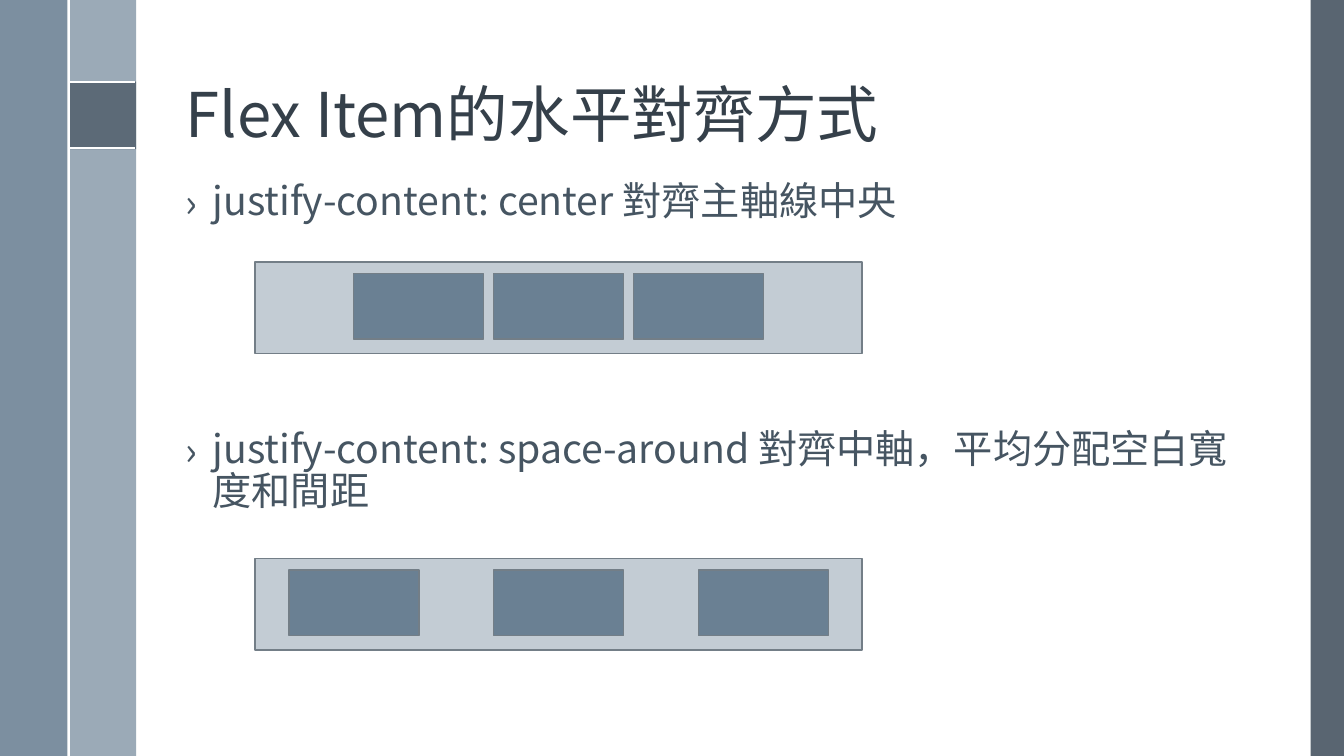
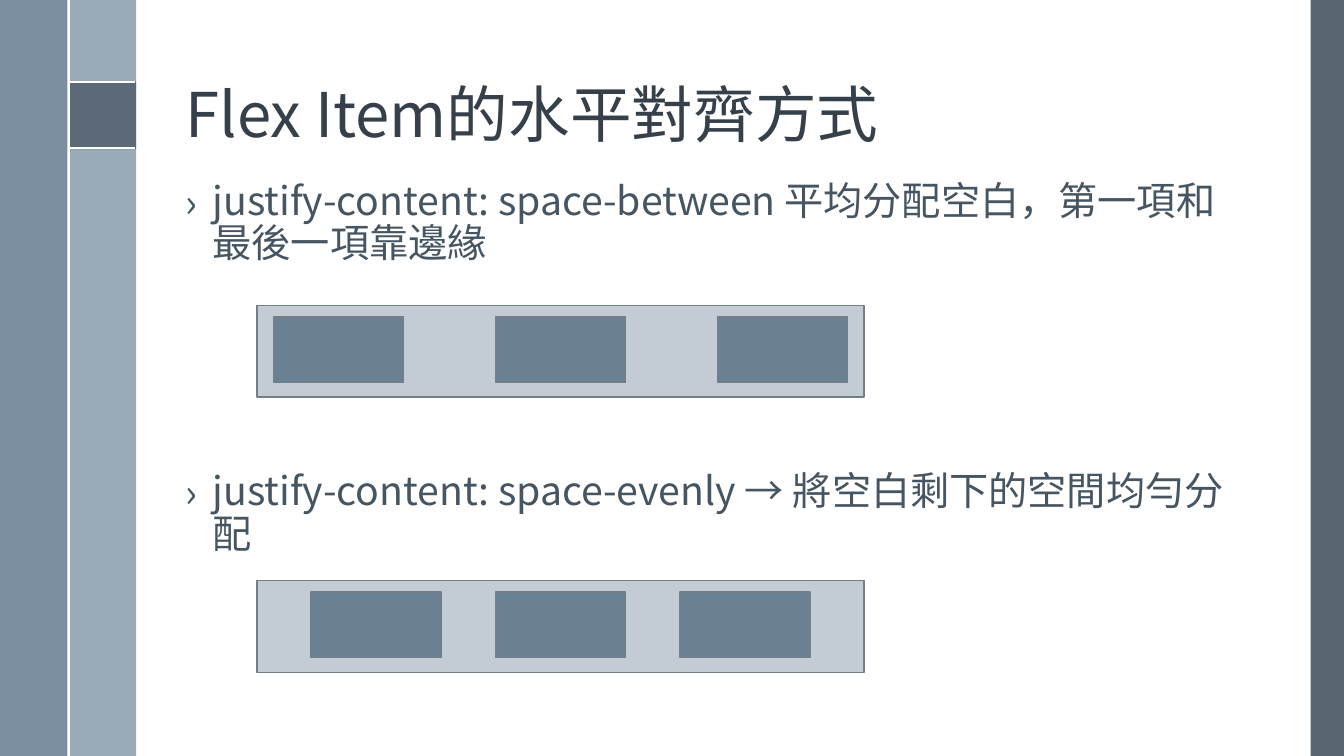
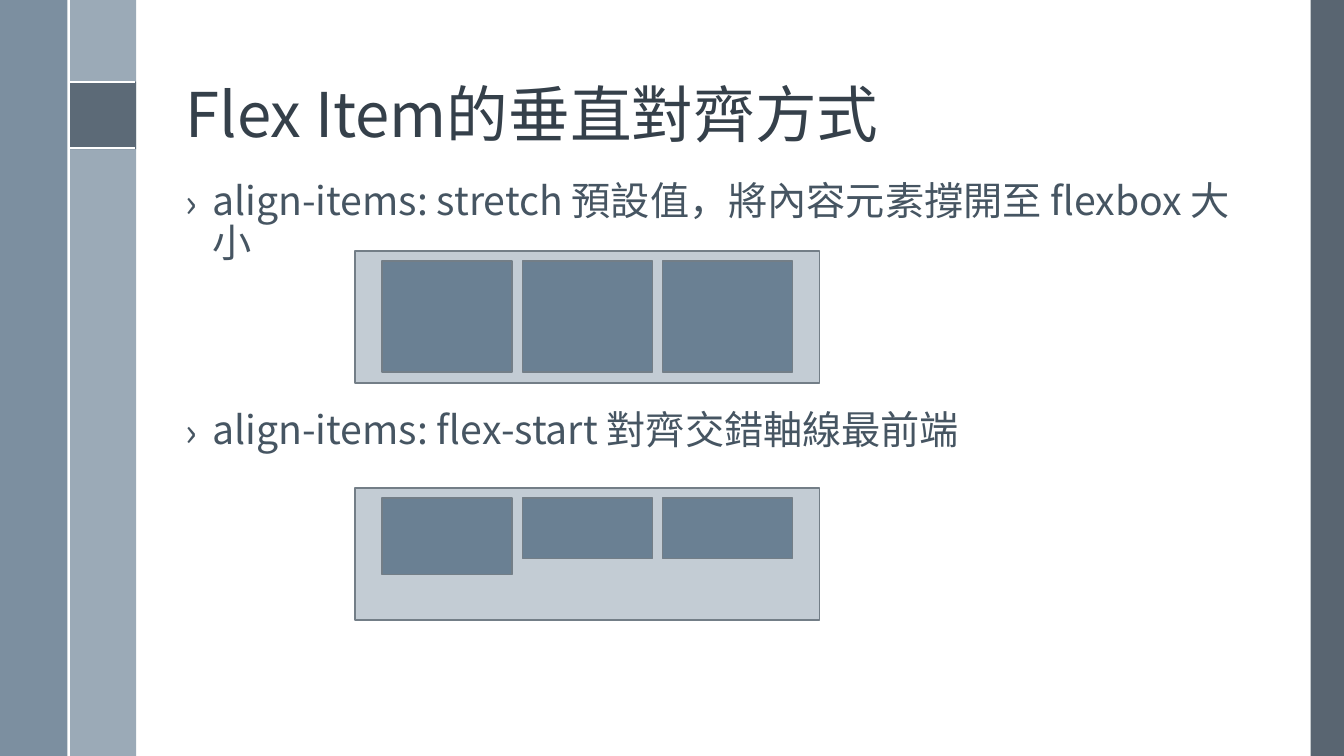
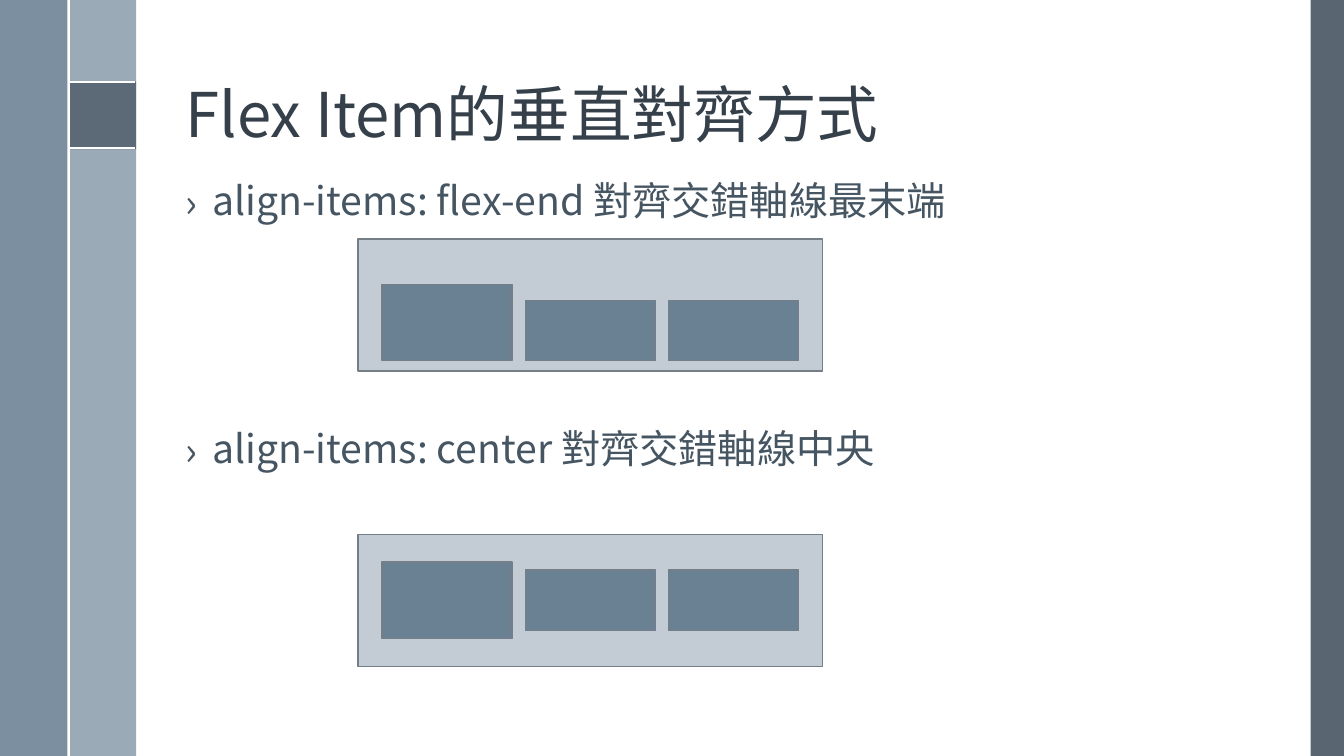
from dataclasses import dataclass

from lxml import etree
from pptx import Presentation
from pptx.dml.color import RGBColor
from pptx.enum.shapes import MSO_CONNECTOR, MSO_SHAPE
from pptx.enum.text import MSO_ANCHOR, MSO_AUTO_SIZE, PP_ALIGN
from pptx.oxml.ns import qn
from pptx.util import Inches, Pt

RECT = MSO_SHAPE.RECTANGLE
LINE = MSO_CONNECTOR.STRAIGHT
LEFT = PP_ALIGN.LEFT
TOP, BOTTOM = MSO_ANCHOR.TOP, MSO_ANCHOR.BOTTOM
FIXED = MSO_AUTO_SIZE.NONE

FONT = "Noto Sans CJK TC"
COLORS = {
    "dark": "475562",
    "pale": "9BAAB7",
    "blue": "6A8093",
    "frame": "C3CCD4",
    "edge": "737E87",
    "white": "FFFFFF",
    "title": "35404A",
    "body": "465562",
}
WIDE, HIGH = 13.33, 7.5
ITEM = 1.29
PAD = 0.1
START, UPPER, MIDDLE, END = 0, 0.25, 0.5, 1
SHORT = (0.65,) * 3
FULL = (1.1,) * 3
MIXED = (0.76, 0.6, 0.6)


@dataclass
class Box:
    left: float
    top: float
    width: float
    height: float


@dataclass
class Band:
    box: Box
    color: str
    alpha: int = 100


@dataclass
class Flex:
    box: Box
    step: float
    sizes: tuple[float, ...]
    share: float


@dataclass
class Page:
    title: str
    lines: tuple[str, str]
    gap: float
    rows: tuple[Flex, Flex]


BANDS = (
    Band(Box(13, 0, 0.33, HIGH), "dark", 90),
    Band(Box(0.68, 0, 0.67, HIGH), "pale"),
    Band(Box(0, 0, 0.67, HIGH), "blue", 88),
    Band(Box(0.68, 0.81, 0.67, 0.67), "dark", 75),
)
RULES = (
    Box(0.68, 0.81, 0.66, 0),
    Box(0.68, 1.47, 0.66, 0),
    Box(0.68, 0, 0, HIGH),
)
HEAD = Box(1.74, 0.19, 10.7, 1.36)
BODY = Box(1.74, 1.75, 10.7, 5)


def wide(left: float, top: float, step: float) -> Flex:
    return Flex(Box(left, top, 6.02, 0.91), step, SHORT, UPPER)


def tall(left: float, top: float, step: float, sizes: tuple[float, ...], share: float) -> Flex:
    return Flex(Box(left, top, 4.61, 1.31), step, sizes, share)


ACROSS = "Flex Item的水平對齊方式"
DOWN = "Flex Item的垂直對齊方式"
PAGES = (
    Page(
        ACROSS,
        (
            "justify-content: center 對齊主軸線中央",
            "justify-content: space-around 對齊中軸，平均分配空白寬度和間距",
        ),
        147,
        (wide(2.53, 2.6, 1.39), wide(2.53, 5.54, 2.03)),
    ),
    Page(
        ACROSS,
        (
            "justify-content: space-between 平均分配空白，第一項和最後一項靠邊緣",
            "justify-content: space-evenly → 將空白剩下的空間均勻分配",
        ),
        147,
        (wide(2.55, 3.03, 2.2), wide(2.55, 5.76, 1.83)),
    ),
    Page(
        DOWN,
        (
            "align-items: stretch 預設值，將內容元素撐開至 flexbox 大小",
            "align-items: flex-start 對齊交錯軸線最前端",
        ),
        103,
        (
            tall(3.52, 2.49, 1.39, FULL, START),
            tall(3.52, 4.84, 1.39, MIXED, START),
        ),
    ),
    Page(
        DOWN,
        (
            "align-items: flex-end 對齊交錯軸線最末端",
            "align-items: center 對齊交錯軸線中央",
        ),
        147,
        (
            tall(3.55, 2.37, 1.42, MIXED, END),
            tall(3.55, 5.3, 1.42, MIXED, MIDDLE),
        ),
    ),
)


def tint(name: str) -> RGBColor:
    return RGBColor.from_string(COLORS[name])


def place(box: Box) -> tuple:
    return tuple(Inches(n) for n in (box.left, box.top, box.width, box.height))


def add_rect(slide, box: Box, fill: str, edge: str = ""):
    shape = slide.shapes.add_shape(RECT, *place(box))
    shape.shadow.inherit = False
    shape.fill.solid()
    shape.fill.fore_color.rgb = tint(fill)
    if edge:
        shape.line.color.rgb = tint(edge)
        shape.line.width = Pt(1)
    else:
        shape.line.fill.background()
    return shape


def add_band(slide, band: Band):
    shape = add_rect(slide, band.box, band.color)
    if band.alpha < 100:
        color = shape.element.spPr.find(qn("a:solidFill"))[0]
        etree.SubElement(color, qn("a:alpha"), val=str(band.alpha * 1000))
    return shape


def add_rule(slide, box: Box):
    left, top, width, height = place(box)
    rule = slide.shapes.add_connector(LINE, left, top, left + width, top + height)
    rule.line.color.rgb = tint("white")
    rule.line.width = Pt(1.5)
    etree.SubElement(rule.element.spPr, qn("a:effectLst"))
    return rule


def add_frame(slide, layout) -> None:
    parts = [add_band(slide, band) for band in BANDS]
    parts += [add_rule(slide, rule) for rule in RULES]
    for spot, part in enumerate(parts, 2):
        layout.shapes.element.insert(spot, part.element)


def add_run(para, text: str, size: int, color: str) -> None:
    para.alignment = LEFT
    para.line_spacing = 0.9
    run = para.add_run()
    run.text = text
    run.font.size = Pt(size)
    run.font.name = FONT
    run.font.color.rgb = tint(color)
    etree.SubElement(run.font._element, qn("a:ea"), typeface=FONT)


def set_title(slide, text: str) -> None:
    title = slide.shapes.title
    title.left, title.top, title.width, title.height = place(HEAD)
    frame = title.text_frame
    frame.auto_size = FIXED
    frame.vertical_anchor = BOTTOM
    add_run(frame.paragraphs[0], text, 44, "title")


def add_body(slide, page: Page) -> None:
    frame = slide.shapes.add_textbox(*place(BODY)).text_frame
    frame.word_wrap = True
    frame.auto_size = FIXED
    frame.vertical_anchor = TOP
    first, last = frame.paragraphs[0], frame.add_paragraph()
    last.space_before = Pt(page.gap)
    for para, text in zip((first, last), page.lines):
        add_run(para, text, 28, "body")
        props = para._p.get_or_add_pPr()
        props.set("marL", str(Inches(0.27)))
        props.set("indent", str(Inches(-0.27)))
        etree.SubElement(props, qn("a:buFont"), typeface=FONT)
        etree.SubElement(props, qn("a:buChar"), char="›")


def add_flex(slide, flex: Flex) -> None:
    box = flex.box
    add_rect(slide, box, "frame", "edge")
    start = box.left + (box.width - ITEM) / 2 - flex.step
    for spot, size in enumerate(flex.sizes):
        room = box.height - 2 * PAD - size
        top = box.top + PAD + flex.share * room
        item = Box(start + spot * flex.step, top, ITEM, size)
        add_rect(slide, item, "blue", "edge")


def build() -> None:
    deck = Presentation()
    deck.slide_width, deck.slide_height = Inches(WIDE), Inches(HIGH)
    layout = deck.slide_layouts.get_by_name("Title Only")
    for spot, page in enumerate(PAGES):
        slide = deck.slides.add_slide(layout)
        if spot == 0:
            add_frame(slide, layout)
        set_title(slide, page.title)
        add_body(slide, page)
        for flex in page.rows:
            add_flex(slide, flex)
    deck.save("out.pptx")


build()
